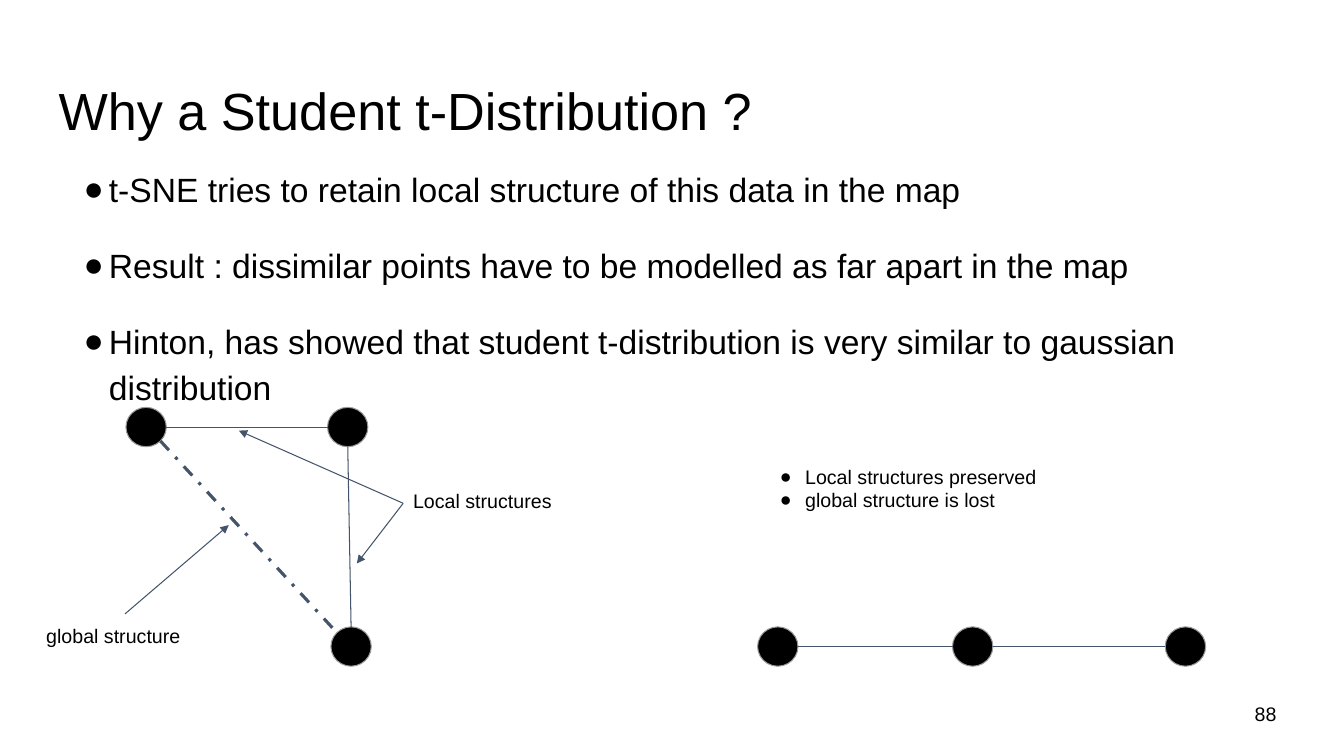
import math

from lxml import etree
from pptx import Presentation
from pptx import util as u
from pptx.dml.color import RGBColor
from pptx.enum import dml, shapes, text
from pptx.oxml import ns

BLACK = RGBColor(0x00, 0x00, 0x00)
GREY = RGBColor(0x99, 0x99, 0x99)
SLATE = RGBColor(0x44, 0x54, 0x6A)
DOT_W, DOT_H = 28.8, 28.1
LABEL = 14


def edge(dot, degrees):
    """Point on the rim of a dot, clockwise from its right side."""
    a = math.radians(degrees)
    return (dot[0] + DOT_W / 2 * (1 + math.cos(a)),
            dot[1] + DOT_H / 2 * (1 + math.sin(a)))


class Deck:
    font = {"name": "Arial"}
    bullet_indent = 18

    def __init__(self, prs):
        self.s = prs.slides.add_slide(prs.slide_layouts[6])

    def text(self, box, lines, size, inset=7.2, bullets=False,
             anchor=text.MSO_ANCHOR.TOP, **spacing):
        """Text box; spacing holds the paragraph formats."""
        tf = self.s.shapes.add_textbox(*map(u.Pt, box)).text_frame
        frame = {"word_wrap": True, "vertical_anchor": anchor}
        for side in ("left", "top", "right", "bottom"):
            frame["margin_" + side] = u.Pt(inset)
        for key, value in frame.items():
            setattr(tf, key, value)
        for i, line in enumerate(lines):
            p = tf.add_paragraph() if i else tf.paragraphs[0]
            for key, value in spacing.items():
                if i or key != "space_before":
                    setattr(p, key, value)
            if bullets:
                self.bullet(p)
            r = p.add_run()
            r.text = line
            for key, value in {**self.font, "size": u.Pt(size)}.items():
                setattr(r.font, key, value)
            r.font.color.rgb = BLACK

    def bullet(self, p):
        pPr = p._p.get_or_add_pPr()
        pPr.set("marL", str(u.Pt(2 * self.bullet_indent)))
        pPr.set("indent", str(-u.Pt(self.bullet_indent)))
        color = etree.SubElement(pPr, ns.qn("a:buClr"))
        etree.SubElement(color, ns.qn("a:srgbClr"), val=str(BLACK))
        etree.SubElement(pPr, ns.qn("a:buFont"), typeface=self.font["name"])
        etree.SubElement(pPr, ns.qn("a:buChar"), char="●")

    def dot(self, corner):
        sp = self.s.shapes.add_shape(shapes.MSO_SHAPE.OVAL,
                                     *map(u.Pt, (*corner, DOT_W, DOT_H)))
        sp.shadow.inherit = False
        sp.fill.solid()
        sp.fill.fore_color.rgb = BLACK
        sp.line.color.rgb = GREY
        sp.line.width = u.Pt(0.75)

    def line(self, start, end, width=0.75, dash=None, arrow=False):
        c = self.s.shapes.add_connector(shapes.MSO_CONNECTOR.STRAIGHT,
                                        *map(u.Pt, (*start, *end)))
        c.line.color.rgb = SLATE
        c.line.width = u.Pt(width)
        if dash:
            c.line.dash_style = dash
        if arrow:
            etree.SubElement(c.line._get_or_add_ln(), ns.qn("a:tailEnd"),
                             type="triangle")
        etree.SubElement(c._element.spPr, ns.qn("a:effectLst"))


def main():
    prs = Presentation()
    prs.slide_width, prs.slide_height = u.Pt(960), u.Pt(540)
    d = Deck(prs)

    d.text((32.4, 46.8, 894.2, 60.5), ["Why a Student t-Distribution ?"],
           37.3, inset=9.4)
    d.text((32.4, 106.6, 894.2, 358.6), [
        "t-SNE tries to retain local structure of this data in the map",
        "Result : dissimilar points have to be modelled as far apart in the map",
        "Hinton, has showed that student t-distribution is very similar to "
        "gaussian distribution",
    ], 24, inset=9.4, bullets=True, line_spacing=1.15, space_before=u.Pt(21.3))
    d.text((889.2, 489.6, 57.6, 41), ["88"], LABEL,
           anchor=text.MSO_ANCHOR.MIDDLE)

    # Points in the high-dimensional space
    top_left, top_right, bottom = (90, 291), (234, 291), (236.4, 447.8)
    # The same points laid out on the map
    mapped = [(x, 447.8) for x in (541.2, 680.4, 832.4)]
    for corner in (top_left, top_right, bottom, *mapped):
        d.dot(corner)

    d.line(edge(top_left, 0), edge(top_right, 180))
    d.line(edge(top_right, 90), edge(bottom, 270))
    d.line(edge(top_left, 45), edge(bottom, 225), width=2.25,
           dash=dml.MSO_LINE.DASH_DOT)
    for left, right in zip(mapped, mapped[1:]):
        d.line(edge(left, 0), edge(right, 180))

    local_label = (288, 359.5)
    for start, end in ((local_label, (170.6, 307.6)),
                       (local_label, (254.9, 402.5)),
                       ((89.3, 438.5), (163.4, 375.1))):
        d.line(start, end, arrow=True)

    d.text((288, 342, 129.6, 36), ["Local structures"], LABEL)
    d.text((25.9, 438.5, 126, 28.1), ["global structure"], LABEL)
    d.text((532, 324.7, 262.8, 59.8),
           ["Local structures preserved", "global structure is lost"],
           LABEL, bullets=True)
    prs.save("out.pptx")


if __name__ == "__main__":
    main()
